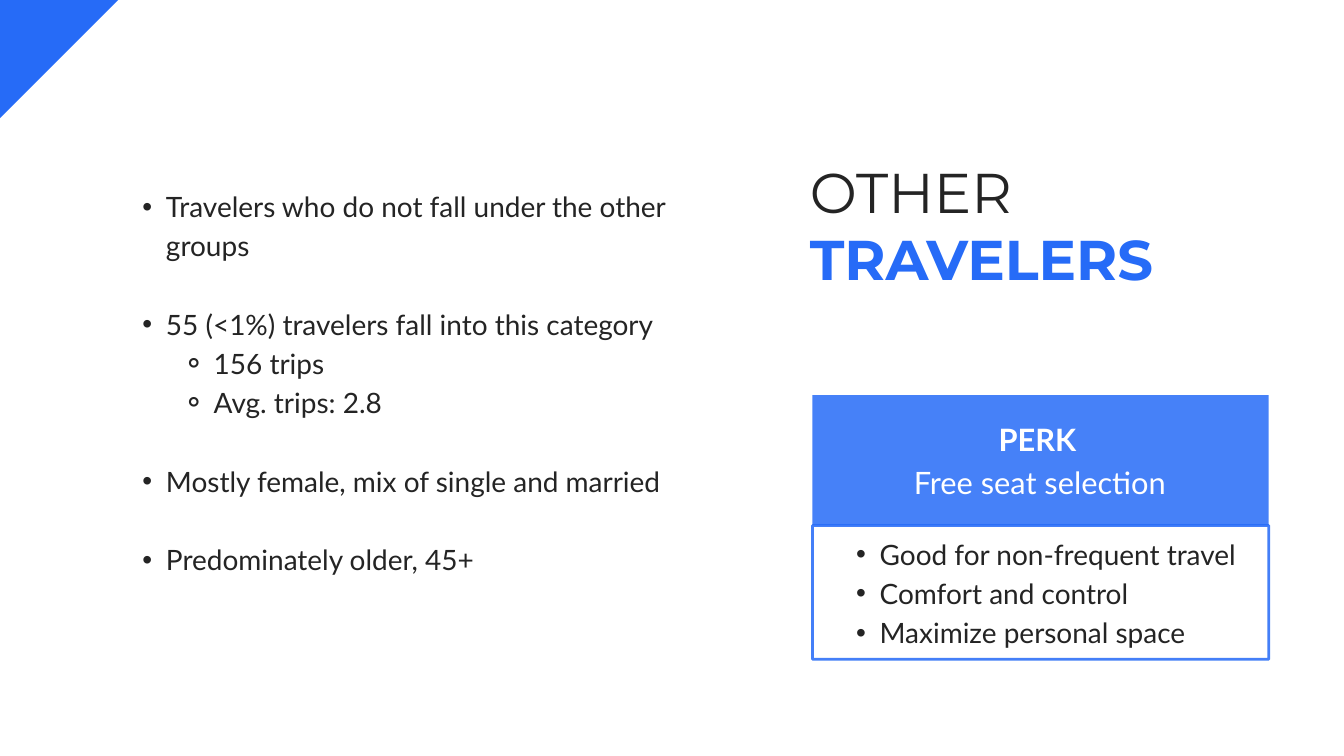
from pptx import Presentation
from pptx.dml.color import RGBColor
from pptx.enum.shapes import MSO_SHAPE
from pptx.enum.text import PP_ALIGN
from pptx.oxml.ns import qn
from pptx.util import Inches, Pt
from lxml.etree import SubElement

THEME = {
    "blue": "266BF7", "ink": "242424", "white": "FFFFFF",
    "head": "Montserrat", "body": "Lato",
    "title": 60, "perk": 33, "text": 30,
    "line": 1.4, "alpha": 85, "edge": 3,
}
LEVELS = {1: ("•", 0.71, 0.35), 2: ("⚬", 1.42, 0.47)}
TITLE = [("OTHER", "ink", False), ("TRAVELERS", "blue", True)]
FACTS = [
    (1, "Travelers who do not fall under the other groups", False),
    (1, "55 (<1%) travelers fall into this category", True),
    (2, "156 trips", False),
    (2, "Avg. trips: 2.8", False),
    (1, "Mostly female, mix of single and married", True),
    (1, "Predominately older, 45+", True),
]
PERK = [
    ("PERK", (14.86, 6.17, 1.25, 1.23), True, PP_ALIGN.LEFT),
    ("Free seat selection", (13.41, 6.81, 4.13, 0.59), False, PP_ALIGN.CENTER),
]
GAINS = [
    (1, "Good for non-frequent travel", False),
    (1, "Comfort and control", False),
    (1, "Maximize personal space", False),
]
CARD = {"left": 12.09, "top": 5.88, "wide": 6.79, "head": 1.94, "body": 1.99}
CORNER = 1.76


def tint(name):
    """Return a theme colour."""
    return RGBColor.from_string(THEME[name])


def fade(shape):
    """Apply the theme opacity to the colours of a shape."""
    for node in shape.element.spPr.iter(qn("a:srgbClr")):
        SubElement(node, qn("a:alpha"), val=str(THEME["alpha"] * 1000))


def mark(para, level):
    """Give a paragraph the bullet and indent of its level."""
    sign, left, hang = LEVELS[level]
    para.level = level - 1
    props = para._p.get_or_add_pPr()
    props.set("marL", str(Inches(left)))
    props.set("indent", str(-Inches(hang)))
    SubElement(props, qn("a:buFont"), typeface="Arial")
    SubElement(props, qn("a:buChar"), char=sign)


def write(slide, rows, box, size="text", font="body", color="ink",
          bold=False, align=PP_ALIGN.LEFT):
    """Write rows of level, text and gap in one text box."""
    frame = slide.shapes.add_textbox(*map(Inches, box)).text_frame
    frame.word_wrap = True
    frame.margin_left = frame.margin_right = 0
    frame.margin_top = frame.margin_bottom = 0
    pitch = Pt(THEME[size] * THEME["line"])
    for num, (level, text, gap) in enumerate(rows):
        para = frame.add_paragraph() if num else frame.paragraphs[0]
        para.alignment = align
        para.line_spacing = pitch
        para.space_before = pitch if gap else 0
        if level:
            mark(para, level)
        run = para.add_run()
        run.text = text
        run.font.name = THEME[font]
        run.font.size = Pt(THEME[size])
        run.font.bold = bold
        run.font.color.rgb = tint(color)


def panel(slide, top, high, solid):
    """Draw one part of the card, filled or outlined."""
    box = (CARD["left"], top, CARD["wide"], high)
    shape = slide.shapes.add_shape(MSO_SHAPE.RECTANGLE, *map(Inches, box))
    shape.shadow.inherit = False
    if solid:
        shape.fill.solid()
        shape.fill.fore_color.rgb = tint("blue")
        shape.line.fill.background()
    else:
        shape.fill.background()
        shape.line.color.rgb = tint("blue")
        shape.line.width = Pt(THEME["edge"])
    fade(shape)


def corner(slide):
    """Draw the triangle in the top left corner."""
    side = Inches(CORNER)
    path = slide.shapes.build_freeform(0, side)
    path.add_line_segments([(0, 0), (side, 0)], close=True)
    shape = path.convert_to_shape()
    shape.shadow.inherit = False
    shape.fill.solid()
    shape.fill.fore_color.rgb = tint("blue")
    shape.line.fill.background()


def main():
    """Build and save the slide."""
    deck = Presentation()
    deck.slide_width, deck.slide_height = Inches(20), Inches(11.25)
    slide = deck.slides.add_slide(deck.slide_layouts[6])
    corner(slide)
    for num, (text, color, bold) in enumerate(TITLE):
        write(slide, [(0, text, False)], (12.05, 2.17 + num, 6.82, 1.12),
              size="title", font="head", color=color, bold=bold)
    panel(slide, CARD["top"], CARD["head"], True)
    for text, box, bold, align in PERK:
        write(slide, [(0, text, False)], box, size="perk", color="white",
              bold=bold, align=align)
    write(slide, FACTS, (1.76, 2.74, 8.75, 6.66))
    panel(slide, CARD["top"] + CARD["head"], CARD["body"], False)
    write(slide, GAINS, (12.38, 7.91, 6.21, 1.69))
    deck.save("out.pptx")


if __name__ == "__main__":
    main()
